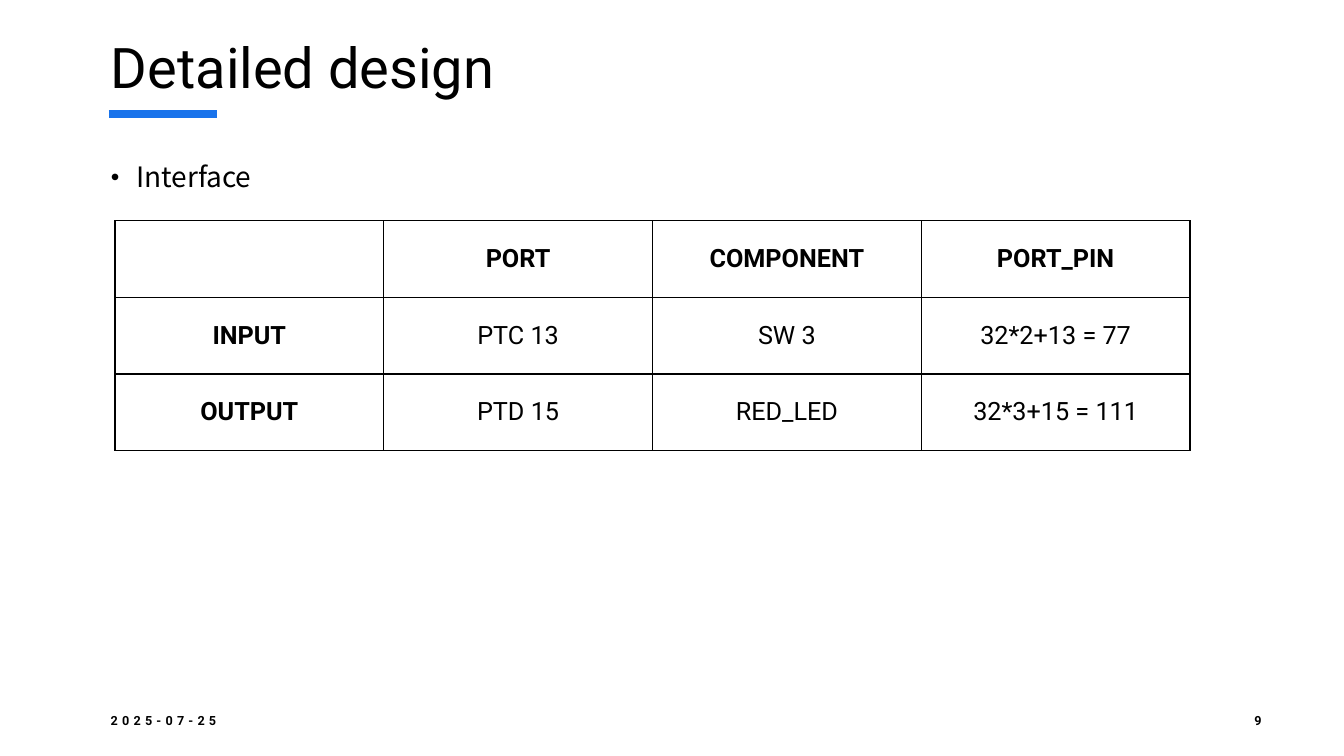
from dataclasses import dataclass

from lxml import etree
from pptx import Presentation
from pptx import util as u
from pptx.dml.color import RGBColor
from pptx.enum import shapes, text
from pptx.oxml import ns


@dataclass(frozen=True)
class Theme:
    ink: str = "000000"
    paper: str = "FFFFFF"
    accent: str = "1973EB"
    head: str = "Roboto"
    body: str = "Noto Sans CJK KR"
    title: int = 40
    lead: int = 20
    cell: int = 18
    foot: int = 9


T = Theme()
WIDE, HIGH = 13.33, 7.5
LEFT = 1
ALIGN, ANCHOR = text.PP_ALIGN, text.MSO_ANCHOR


def add(node, tag, **attrs):
    """Append a drawing element with its attributes."""
    return etree.SubElement(node, ns.qn(tag), attrs)


def write(frame, words, size, font=T.head, bold=False, align=ALIGN.LEFT,
          anchor=ANCHOR.TOP, track=0):
    """Put one formatted paragraph into a text frame."""
    frame.word_wrap = True
    frame.vertical_anchor = anchor
    para = frame.paragraphs[0]
    para.alignment = align
    run = para.add_run()
    run.text = words
    run.font.size = u.Pt(size)
    run.font.name = font
    run.font.bold = bold
    run.font.color.rgb = RGBColor.from_string(T.ink)
    if track:
        run.font._element.set("spc", str(track * 100))
    return para


def place(shape, box):
    """Move a shape to a box given in inches."""
    shape.left, shape.top, shape.width, shape.height = map(u.Inches, box)
    return shape


def header(slide, box):
    # Title
    frame = place(slide.shapes.title, box).text_frame
    frame.auto_size = text.MSO_AUTO_SIZE.NONE
    write(frame, "Detailed design", T.title)

    # Accent rule under the title
    x, y = box[0] + 0.08, box[1] + 0.86
    rule = slide.shapes.add_connector(
        shapes.MSO_CONNECTOR.STRAIGHT,
        *map(u.Inches, (x, y, x + 1.07, y)))
    rule.line.color.rgb = RGBColor.from_string(T.accent)
    rule.line.width = u.Pt(6)
    add(rule._element.spPr, "a:effectLst")


def bullets(slide, box):
    frame = place(slide.placeholders[1], box).text_frame
    frame.auto_size = text.MSO_AUTO_SIZE.NONE
    para = write(frame, "Interface", T.lead, font=T.body)
    para.line_spacing = 1.2
    para.space_before = u.Pt(10)
    # Bullet with a hanging indent
    props = para._p.get_or_add_pPr()
    indent = u.Inches(0.25)
    props.set("marL", str(indent))
    props.set("indent", str(-indent))
    add(props, "a:buSzPct", val="87000")
    add(props, "a:buFont", typeface="Arial")
    add(props, "a:buChar", char="•")


def border(cell):
    """Draw thin lines on all four sides of a cell."""
    props = cell._tc.get_or_add_tcPr()
    for side in "LRTB":
        line = add(props, f"a:ln{side}", w=str(u.Pt(1)))
        add(add(line, "a:solidFill"), "a:srgbClr", val=T.ink)


def pins(slide, box):
    rows = [
        ["", "PORT", "COMPONENT", "PORT_PIN"],
        ["INPUT", "PTC 13", "SW 3", "32*2+13 = 77"],
        ["OUTPUT", "PTD 15", "RED_LED", "32*3+15 = 111"],
    ]
    table = slide.shapes.add_table(
        len(rows), len(rows[0]), *map(u.Inches, box)).table
    table.first_row = table.horz_banding = False
    for r, row in enumerate(rows):
        for c, words in enumerate(row):
            cell = table.cell(r, c)
            border(cell)
            cell.fill.solid()
            cell.fill.fore_color.rgb = RGBColor.from_string(T.paper)
            cell.vertical_anchor = ANCHOR.MIDDLE
            if words:
                write(cell.text_frame, words, T.cell, align=ALIGN.CENTER,
                      anchor=ANCHOR.MIDDLE, bold=r == 0 or c == 0)


def footer(slide, box):
    x, y, w, h = box
    page = 0.79
    # Date at the left edge, page number at the right
    for words, left, width, align in (
            ("2025-07-25", x, 3, ALIGN.LEFT),
            ("9", x + w - page, page, ALIGN.RIGHT)):
        note = slide.shapes.add_textbox(
            *map(u.Inches, (left, y, width, h)))
        write(note.text_frame, words, T.foot, bold=True, align=align,
              anchor=ANCHOR.MIDDLE, track=3)


def main():
    deck = Presentation()
    deck.slide_width, deck.slide_height = u.Inches(WIDE), u.Inches(HIGH)
    slide = deck.slides.add_slide(deck.slide_layouts[1])
    header(slide, (LEFT, 0.27, WIDE - 2 * LEFT, 1.3))
    bullets(slide, (LEFT, 1.47, 11.61, 4.91))
    pins(slide, (LEFT + 0.14, 2.19, 0.8 * WIDE, 2.28))
    footer(slide, (LEFT, 6.95, 11.61, 0.4))
    deck.save("out.pptx")


if __name__ == "__main__":
    main()
